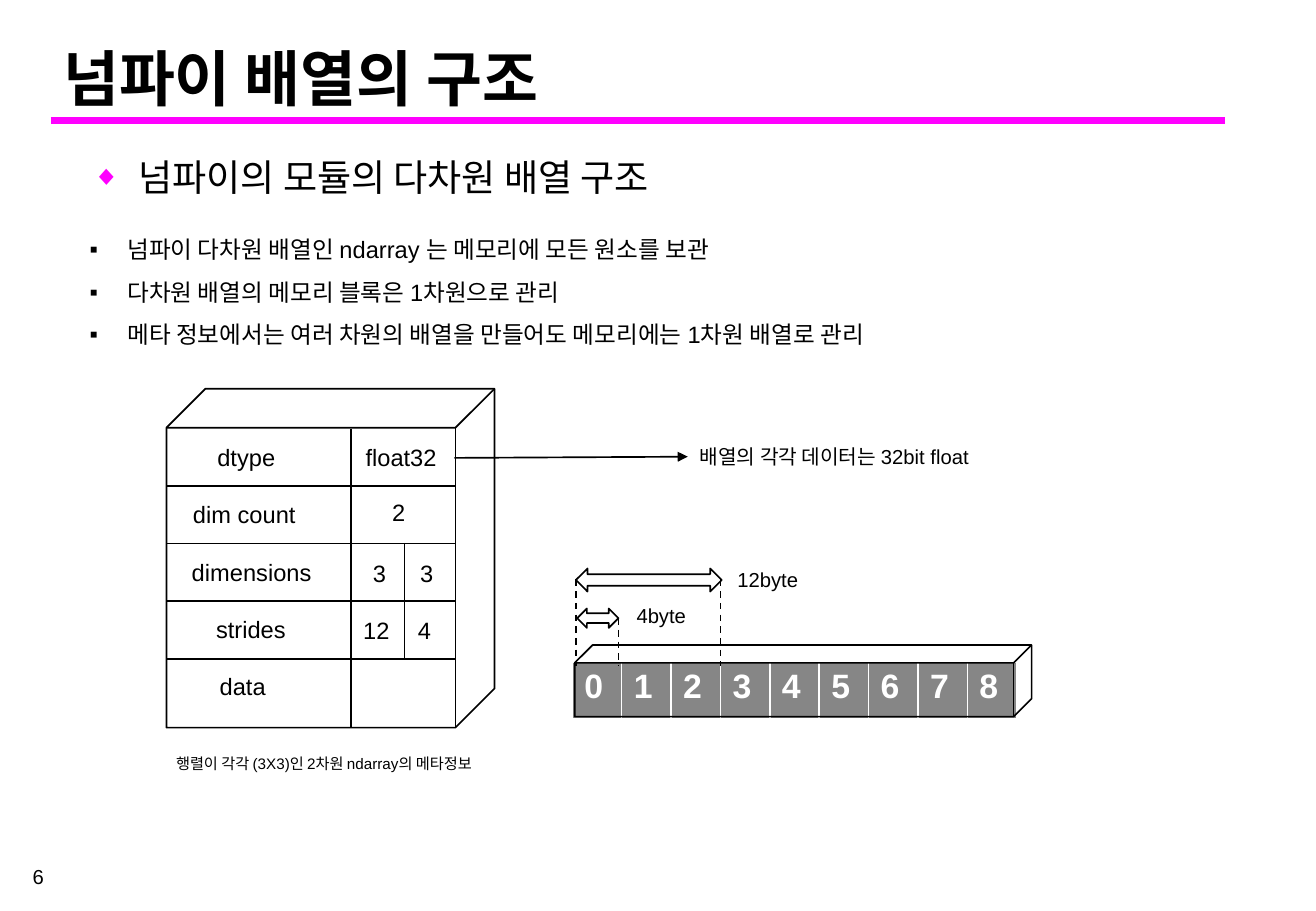
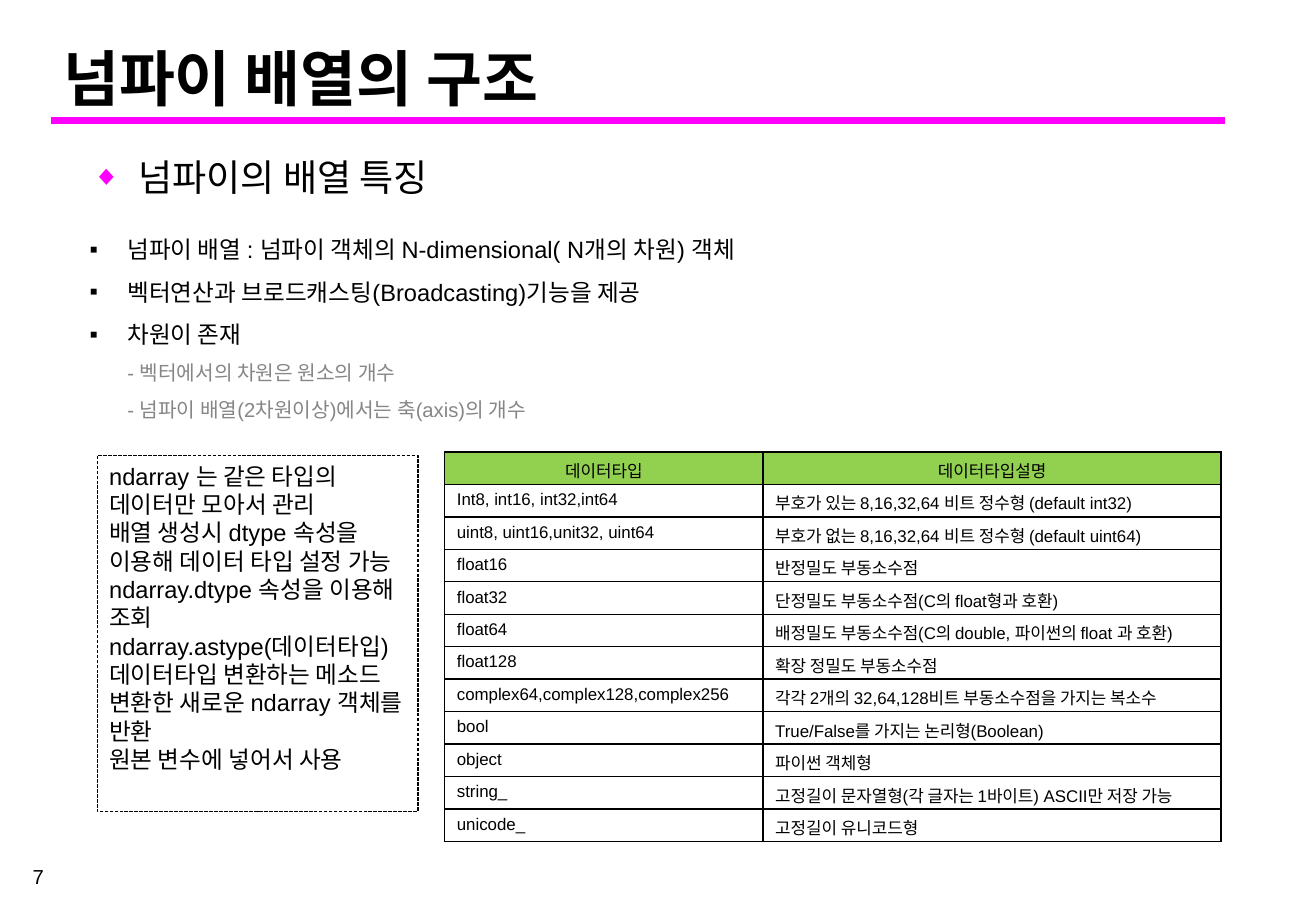
from lxml import etree
from pptx import Presentation
from pptx import util as u
from pptx.dml.color import RGBColor
from pptx.enum import dml, shapes, text
from pptx.oxml import ns

BLACK = RGBColor(0x00, 0x00, 0x00)
WHITE = RGBColor(0xFF, 0xFF, 0xFF)
MAGENTA = RGBColor(0xFF, 0x00, 0xFF)
GRAY = RGBColor(0x86, 0x86, 0x86)
GREEN = RGBColor(0x92, 0xD0, 0x50)
FONT = "Arial"
TITLE = "넘파이 배열의 구조"

DTYPES = [
    ("데이터타입", "데이터타입설명"),
    ("Int8, int16, int32,int64", "부호가 있는 8,16,32,64 비트 정수형 (default int32)"),
    ("uint8, uint16,unit32, uint64", "부호가 없는 8,16,32,64 비트 정수형 (default uint64)"),
    ("float16", "반정밀도 부동소수점"),
    ("float32", "단정밀도 부동소수점(C의 float형과 호환)"),
    ("float64", "배정밀도 부동소수점(C의 double, 파이썬의 float 과 호환)"),
    ("float128", "확장 정밀도 부동소수점"),
    ("complex64,complex128,complex256", "각각 2개의 32,64,128비트 부동소수점을 가지는 복소수"),
    ("bool", "True/False를 가지는 논리형(Boolean)"),
    ("object", "파이썬 객체형"),
    ("string_", "고정길이 문자열형(각 글자는 1바이트) ASCII만 저장 가능"),
    ("unicode_", "고정길이 유니코드형"),
]


def sub(parent, tag, **attrs):
    return etree.SubElement(parent, ns.qn(tag), attrs)


class Deck:
    """Holds the shared style and the slide being built."""

    def __init__(self):
        self.prs = Presentation()
        self.prs.slide_width = u.Inches(10.83)
        self.prs.slide_height = u.Inches(7.5)
        self.slide = None

    def box(self, left, top, width, height):
        return [u.Inches(v) for v in (left, top, width, height)]

    def place(self, sp, *at):
        sp.left, sp.top, sp.width, sp.height = self.box(*at)

    def run(self, p, content, size, color=BLACK, bold=False):
        r = p.add_run()
        r.text = content
        r.font.name = FONT
        r.font.size = u.Pt(size)
        r.font.bold = bold
        r.font.color.rgb = color

    def paragraphs(self, tf, lines, size):
        for i, line in enumerate(lines):
            p = tf.add_paragraph() if i else tf.paragraphs[0]
            p.alignment = text.PP_ALIGN.LEFT
            self.run(p, line, size)

    def bullet(self, p, char, indent, spacing, color=None, percent=None):
        p.line_spacing = spacing
        pPr = p._p.get_or_add_pPr()
        pPr.set("marL", str(u.Inches(indent)))
        pPr.set("indent", str(-u.Inches(indent)))
        if color is not None:
            sub(sub(pPr, "a:buClr"), "a:srgbClr", val=str(color))
        if percent:
            sub(pPr, "a:buSzPct", val=str(percent * 1000))
        sub(pPr, "a:buFont", typeface=FONT)
        sub(pPr, "a:buChar", char=char)

    def page(self, number, heading):
        self.slide = self.prs.slides.add_slide(self.prs.slide_layouts[1])
        self.line(0.42, 0.99, 10.08, 0.99, color=MAGENTA, width=4)

        sp = self.slide.shapes.title
        self.place(sp, 0.42, 0.28, 9.58, 0.71)
        tf = sp.text_frame
        tf.auto_size = text.MSO_AUTO_SIZE.NONE
        tf.vertical_anchor = text.MSO_ANCHOR.BOTTOM
        p = tf.paragraphs[0]
        p.alignment = text.PP_ALIGN.LEFT
        self.run(p, TITLE, 36, bold=True)

        sp = self.slide.placeholders[1]
        self.place(sp, 0.66, 1.15, 9.4, 0.55)
        tf = sp.text_frame
        tf.auto_size = text.MSO_AUTO_SIZE.NONE
        self.paragraphs(tf, [heading], 22)
        self.bullet(tf.paragraphs[0], "◆", 0.38, 1.2, MAGENTA, 75)

        tf = self.label(str(number), -0.02, 7.14, 0.48, 0.15, 12)
        tf.vertical_anchor = text.MSO_ANCHOR.MIDDLE
        tf.paragraphs[0].alignment = text.PP_ALIGN.RIGHT

    def label(self, content, left, top, width, height=0.34, size=14):
        tf = self.slide.shapes.add_textbox(*self.box(left, top, width, height)).text_frame
        tf.word_wrap = True
        self.paragraphs(tf, [content], size)
        return tf

    def bullets(self, lines, height, details=()):
        tf = self.slide.shapes.add_textbox(*self.box(0.64, 1.77, 9.83, height)).text_frame
        tf.word_wrap = True
        self.paragraphs(tf, lines, 14)
        for p in tf.paragraphs:
            self.bullet(p, "▪", 0.31, 1.5)
        for detail in details:
            p.add_line_break()
            self.run(p, detail, 12, GRAY)

    def line(self, x1, y1, x2, y2, color=BLACK, width=1, dash=None, arrow=False):
        ends = self.box(x1, y1, x2, y2)
        sp = self.slide.shapes.add_connector(shapes.MSO_CONNECTOR.STRAIGHT, *ends)
        sp.line.color.rgb = color
        sp.line.width = u.Pt(width)
        if dash:
            sp.line.dash_style = dash
        if arrow:
            sub(sp.line._get_or_add_ln(), "a:tailEnd", type="triangle")
        sub(sp._element.spPr, "a:effectLst")

    def outline(self, kind, *at, width=1):
        sp = self.slide.shapes.add_shape(kind, *self.box(*at))
        sp.shadow.inherit = False
        sp.fill.background()
        sp.line.color.rgb = BLACK
        sp.line.width = u.Pt(width)
        return sp

    def table(self, rows, at, widths, size, border, color=BLACK, bold=False):
        frame = self.slide.shapes.add_table(len(rows), len(widths), *self.box(*at))
        tbl = frame.table
        tbl.first_row = tbl.horz_banding = False
        for column, width in zip(tbl.columns, widths):
            column.width = u.Inches(width)
        for row, values in zip(tbl.rows, rows):
            row.height = u.Inches(at[3] / len(rows))
            for cell, value in zip(row.cells, values):
                self.run(cell.text_frame.paragraphs[0], value, size, color, bold)
                tcPr = cell._tc.get_or_add_tcPr()
                for side in ("a:lnL", "a:lnR", "a:lnT", "a:lnB"):
                    ln = sub(tcPr, side, w=str(u.Pt(1)))
                    sub(sub(ln, "a:solidFill"), "a:srgbClr", val=str(border))
                cell.fill.background()
        return tbl

    def fill_row(self, row, color, align=None):
        for cell in row.cells:
            cell.fill.solid()
            cell.fill.fore_color.rgb = color
            cell.text_frame.paragraphs[0].alignment = align


def structure_slide(deck):
    deck.page(6, "넘파이의 모듈의 다차원 배열 구조")
    deck.bullets([
        "넘파이 다차원 배열인 ndarray 는 메모리에 모든 원소를 보관",
        "다차원 배열의 메모리 블록은 1차원으로 관리",
        "메타 정보에서는 여러 차원의 배열을 만들어도 메모리에는 1차원 배열로 관리",
    ], 1.12)

    cube = deck.outline(shapes.MSO_SHAPE.CUBE, 1.37, 3.2, 2.7, 2.79)
    cube.adjustments[0] = 0.119
    for i in range(4):
        y = 4 + 0.475 * i
        deck.line(1.37, y, 3.75, y)
    deck.line(2.89, 3.53, 2.89, 5.99)
    deck.line(3.33, 4.47, 3.33, 5.42)

    fields = [("dtype", 1.69), ("dim count", 1.49), ("dimensions", 1.48),
              ("strides", 1.68), ("data", 1.71)]
    for i, (name, left) in enumerate(fields):
        deck.label(name, left, 3.6 + 0.47 * i, 1.26)
    values = [("float32", 2.91, 3.6, 0.82), ("2", 3.13, 4.05, 0.4),
              ("3", 2.97, 4.55, 0.4), ("3", 3.36, 4.55, 0.4),
              ("12", 2.89, 5.02, 0.46), ("4", 3.34, 5.02, 0.42)]
    for value in values:
        deck.label(*value)
    deck.label("행렬이 각각 (3X3)인 2차원 ndarray의 메타정보", 1.35, 6.16, 2.99, 0.25, 9)
    deck.label("배열의 각각 데이터는 32bit float", 5.66, 3.61, 2.7, 0.3, 12)
    deck.line(3.74, 3.77, 5.66, 3.76, arrow=True)

    count = 9
    memory = deck.table([[str(i) for i in range(count)]], (4.71, 5.45, 3.66, 0.47),
                        [3.66 / count] * count, 20, WHITE, WHITE, True)
    deck.fill_row(memory.rows[0], GRAY)
    deck.outline(shapes.MSO_SHAPE.CUBE, 4.73, 5.31, 3.76, 0.59)
    deck.outline(shapes.MSO_SHAPE.LEFT_RIGHT_ARROW, 4.75, 5.01, 0.34, 0.16)
    deck.outline(shapes.MSO_SHAPE.LEFT_RIGHT_ARROW, 4.74, 4.68, 1.2, 0.19)
    deck.label("4byte", 5.14, 4.92, 0.7, 0.3, 12)
    deck.label("12byte", 5.97, 4.62, 0.81, 0.3, 12)
    for x, top in ((4.74, 4.77), (5.93, 4.77), (5.09, 5.09)):
        deck.line(x, top, x, 5.48, dash=dml.MSO_LINE.DASH)


def features_slide(deck):
    deck.page(7, "넘파이의 배열 특징")
    deck.bullets([
        "넘파이 배열 : 넘파이 객체의 N-dimensional( N개의 차원) 객체",
        "벡터연산과 브로드캐스팅(Broadcasting)기능을 제공",
        "차원이 존재",
    ], 1.77, [
        "- 벡터에서의 차원은 원소의 개수",
        "- 넘파이 배열(2차원이상)에서는 축(axis)의 개수",
    ])

    dtypes = deck.table(DTYPES, (3.66, 3.72, 6.4, 3.2), (2.62, 3.77), 10, BLACK)
    deck.fill_row(dtypes.rows[0], GREEN, text.PP_ALIGN.CENTER)

    note = deck.outline(shapes.MSO_SHAPE.RECTANGLE, 0.8, 3.75, 2.64, 2.93, width=0.75)
    note.line.dash_style = dml.MSO_LINE.SQUARE_DOT
    tf = note.text_frame
    tf.word_wrap = True
    tf.vertical_anchor = text.MSO_ANCHOR.TOP
    deck.paragraphs(tf, [
        "ndarray 는 같은 타입의 데이터만 모아서 관리",
        "배열 생성시 dtype 속성을 이용해 데이터 타입 설정 가능",
        "ndarray.dtype 속성을 이용해 조회",
        "ndarray.astype(데이터타입)",
        "데이터타입 변환하는 메소드",
        "변환한 새로운 ndarray 객체를 반환",
        "원본 변수에 넣어서 사용",
    ], 14)


def main():
    deck = Deck()
    structure_slide(deck)
    features_slide(deck)
    deck.prs.save("out.pptx")


if __name__ == "__main__":
    main()
